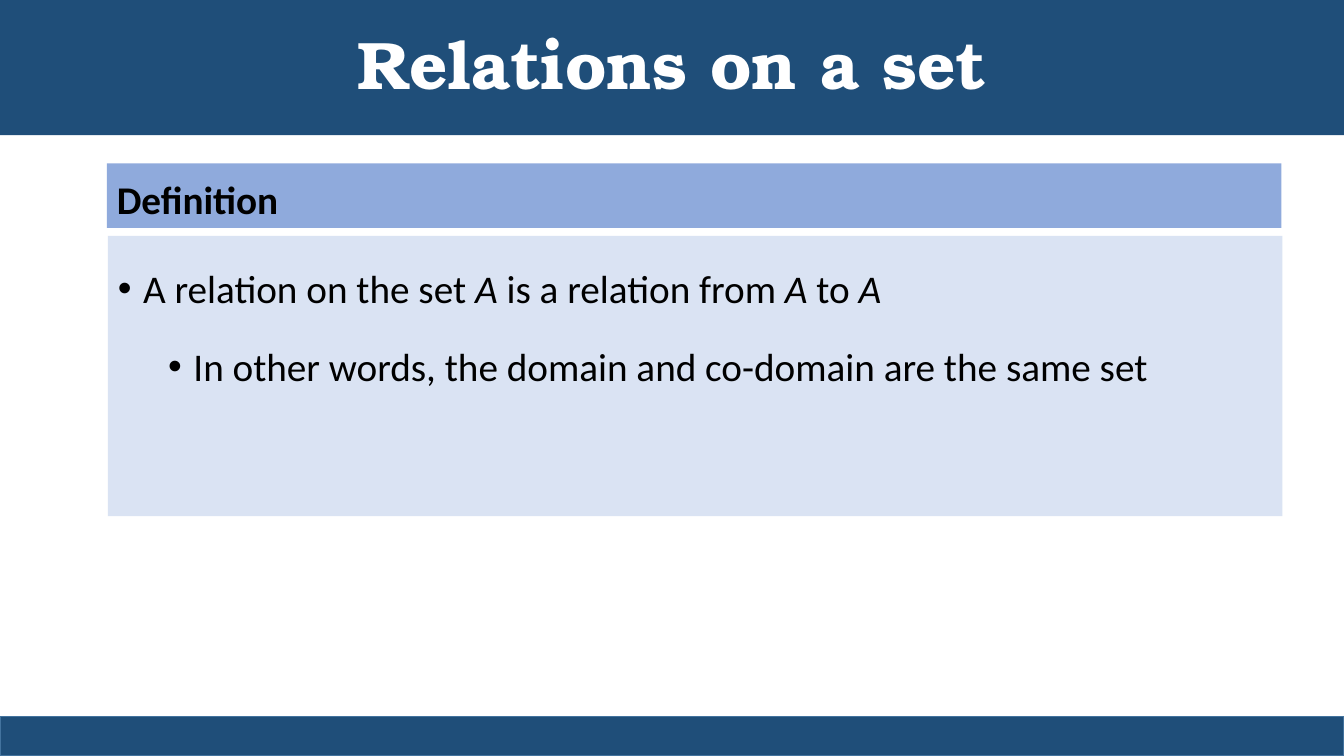
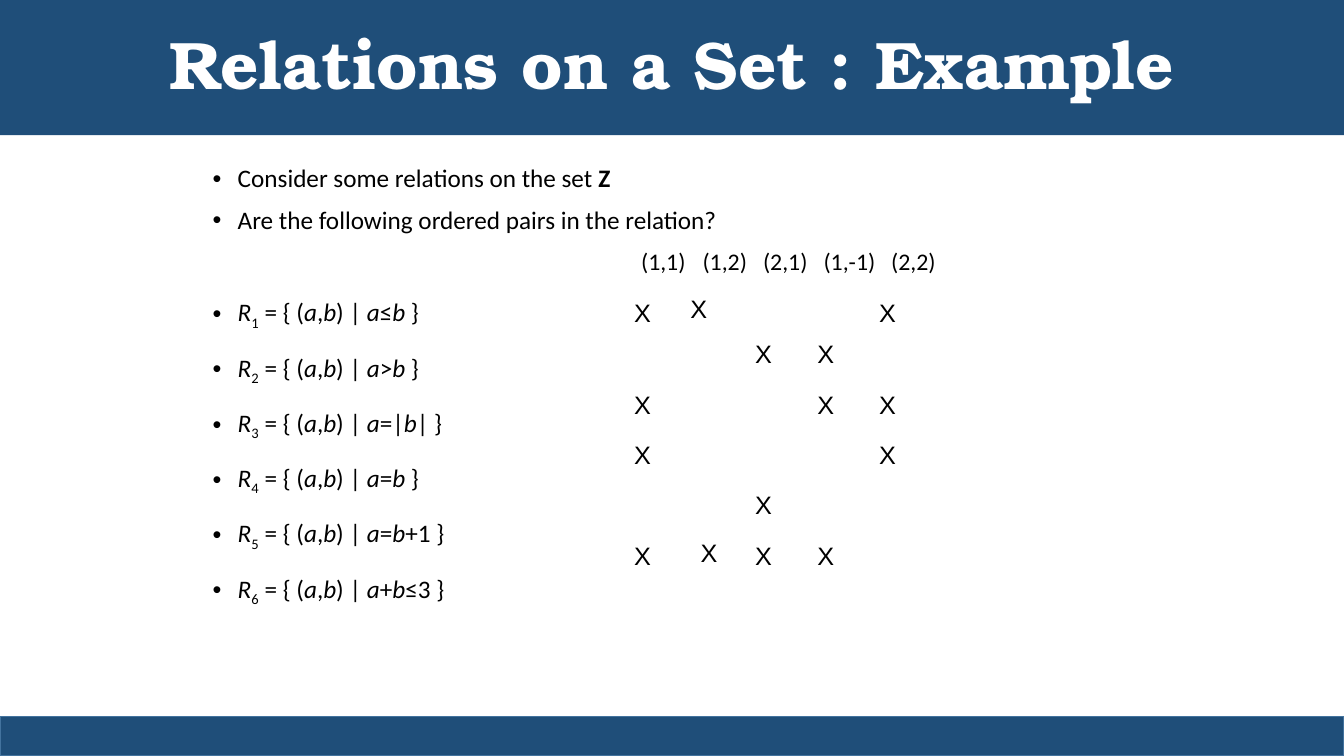
from itertools import groupby
from lxml.etree import SubElement
from pptx import Presentation
from pptx.dml.color import RGBColor
from pptx.enum.shapes import MSO_SHAPE
from pptx.enum.text import MSO_ANCHOR, MSO_AUTO_SIZE, PP_ALIGN
from pptx.oxml.ns import qn
from pptx.util import Inches, Pt

HUES = {"band": "1F4E79", "edge": "43739E", "head": "8FAADC",
        "panel": "DAE3F3", "ink": "000000", "paper": "FFFFFF"}
WIDE, HIGH = 13.33, 7.5
BODY, TITLE, MARK = "Calibri", "TeX Gyre Bonum", "Arial"


def hue(name):
    return RGBColor.from_string(HUES[name])


def add_run(para, text, size, face=BODY, color="ink", style=""):
    """Style letters: b bold, i italic, s subscript."""
    run = para.add_run()
    run.text = text
    font = run.font
    font.size, font.name = Pt(size), face
    font.color.rgb = hue(color)
    font.bold, font.italic = "b" in style, "i" in style
    if "s" in style:
        run._r.get_or_add_rPr().set("baseline", "-25000")


def add_box(slide, box, fill, edge=None):
    shape = slide.shapes.add_shape(MSO_SHAPE.RECTANGLE, *map(Inches, box))
    shape.shadow.inherit = False
    shape.fill.solid()
    shape.fill.fore_color.rgb = hue(fill)
    if edge:
        shape.line.color.rgb = hue(edge)
        shape.line.width = Pt(1)
    else:
        shape.line.fill.background()
    frame = shape.text_frame
    frame.word_wrap = True
    frame.vertical_anchor = MSO_ANCHOR.TOP
    return frame


def next_para(frame, space, before=0):
    """Give the empty first paragraph, or a new one with space before."""
    para = frame.paragraphs[0]
    if para.runs:
        para = frame.add_paragraph()
        para.space_before = Pt(before)
    para.alignment = PP_ALIGN.LEFT
    para.line_spacing = space
    return para


def add_bullet(para, left=0.25):
    props = para._p.get_or_add_pPr()
    props.set("marL", str(Inches(left)))
    props.set("indent", str(Inches(-0.25)))
    SubElement(props, qn("a:buFont"), typeface="Arial")
    SubElement(props, qn("a:buChar"), char="•")


def add_tabs(para, stops):
    tabs = SubElement(para._p.get_or_add_pPr(), qn("a:tabLst"))
    for stop in stops:
        SubElement(tabs, qn("a:tab"), pos=str(Inches(stop)), algn="l")


# Title band and footer band
def add_slide(deck, title):
    slide = deck.slides.add_slide(deck.slide_layouts[6])
    frame = add_box(slide, (0, 0, WIDE, 1.34), "band")
    frame.vertical_anchor = MSO_ANCHOR.MIDDLE
    para = next_para(frame, 0.9)
    para.alignment = PP_ALIGN.CENTER
    add_run(para, title, 48, TITLE, "paper", "b")
    add_box(slide, (0, 7.11, WIDE, 0.39), "band", "edge")
    return slide


# Heading strip above a panel of bullets
def add_panel(slide, box, head, lines):
    left, top, width, height = box
    frame = add_box(slide, (left, top, width, 0.64), "head")
    add_run(next_para(frame, 1.14), head, 28, style="b")
    frame = add_box(slide, (left + 0.01, top + 0.72, width, height - 0.72), "panel")
    for level, runs in enumerate(lines):
        para = next_para(frame, 1.5, 5)
        para.level = level
        add_bullet(para, 0.25 + 0.5 * level)
        for text, style in runs:
            add_run(para, text, 28, style=style)


# Questions, row of pairs and list of relations
def add_list(slide, box, asks, pairs, rules):
    frame = slide.shapes.add_textbox(*map(Inches, box)).text_frame
    frame.word_wrap = True
    for runs in asks:
        para = next_para(frame, 0.9, 10)
        add_bullet(para)
        for text, style in runs:
            add_run(para, text, 18, style=style)
    para = next_para(frame, 0.9, 10)
    add_tabs(para, [4.25, 4.86, 5.46, 6.06, 6.73])
    add_run(para, "\t", 18)
    add_run(para, "\t".join(pairs), 17)
    for index, rule in enumerate(rules, 1):
        para = next_para(frame, 1.2, 10)
        add_bullet(para)
        add_run(para, "R", 18, style="i")
        add_run(para, str(index), 18, style="s")
        for alpha, part in groupby(f" = {{ (a,b) | {rule} }}", str.isalpha):
            add_run(para, "".join(part), 18, style="i" if alpha else "")


# Crosses under the pairs, with small shifts for some cells
def add_marks(slide, box, grid, shifts):
    left, top = box
    cols = [0, 0.61, 1.2, 1.82, 2.43]
    rows = [0, 0.41, 0.91, 1.41, 1.91, 2.41]
    for row, hits in enumerate(grid):
        for col in hits:
            dx, dy = shifts.get((row, col), (0, 0))
            spot = (left + cols[col] + dx, top + rows[row] + dy, 0.37, 0.4)
            frame = slide.shapes.add_textbox(*map(Inches, spot)).text_frame
            frame.word_wrap = False
            frame.auto_size = MSO_AUTO_SIZE.SHAPE_TO_FIT_TEXT
            add_run(frame.paragraphs[0], "X", 18, MARK)


def main():
    deck = Presentation()
    deck.slide_width, deck.slide_height = Inches(WIDE), Inches(HIGH)

    slide = add_slide(deck, "Relations on a set")
    add_panel(slide, (1.06, 1.62, 11.65, 3.5), "Definition", [
        [("A relation on the set ", ""), ("A", "i"), (" is a relation from ", ""),
         ("A", "i"), (" to ", ""), ("A", "i")],
        [("In other words, the domain and co-domain are the same set", "")]])

    slide = add_slide(deck, "Relations on a Set : Example")
    add_list(slide, (2.01, 1.6, 9.86, 5.14),
             [[("Consider some relations on the set ", ""), ("Z", "b")],
              [("Are the following ordered pairs in the relation?", "")]],
             ["(1,1)", "(1,2)", "(2,1)", "(1,-1)", "(2,2)"],
             ["a≤b", "a>b", "a=|b|", "a=b", "a=b+1", "a+b≤3"])
    add_marks(slide, (6.19, 2.9),
              [(0, 1, 4), (2, 3), (0, 3, 4), (0, 4), (2,), (0, 1, 2, 3)],
              {(0, 1): (-0.05, -0.04), (5, 1): (0.05, -0.03)})
    deck.save("out.pptx")


if __name__ == "__main__":
    main()
